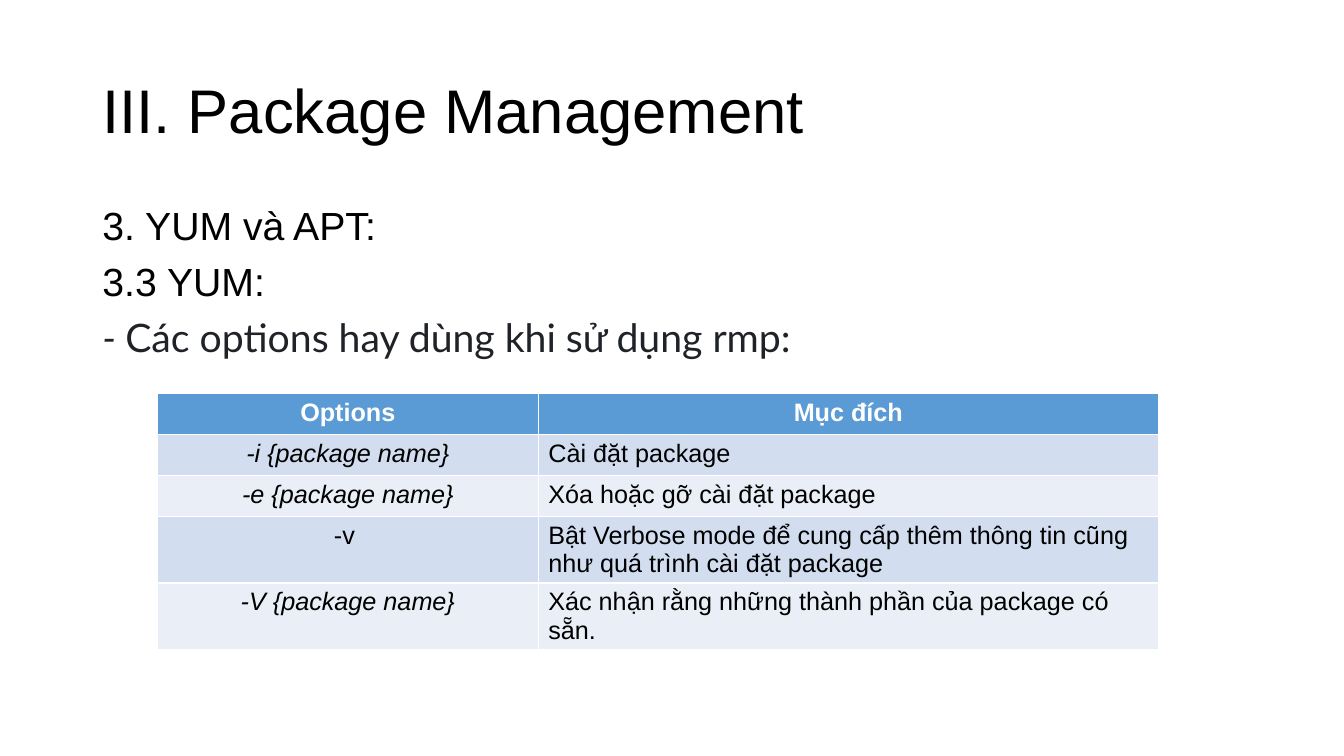
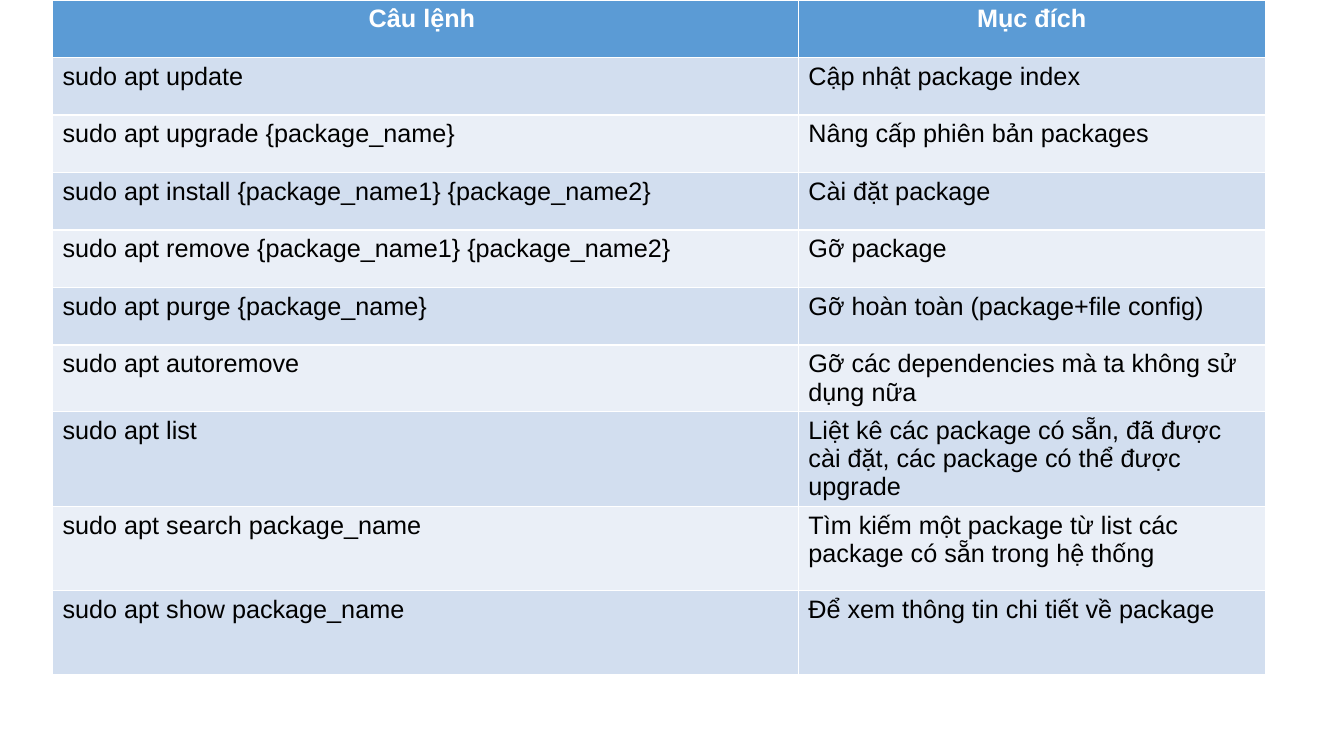
from lxml import etree
from pptx import Presentation
from pptx.dml.color import RGBColor
from pptx.enum.text import MSO_ANCHOR, MSO_AUTO_SIZE, PP_ALIGN
from pptx.oxml.ns import qn
from pptx.util import Pt

LEFT, CENTER = PP_ALIGN.LEFT, PP_ALIGN.CENTER
MIDDLE, TOP = MSO_ANCHOR.MIDDLE, MSO_ANCHOR.TOP
NO_AUTOFIT = MSO_AUTO_SIZE.NONE

SLIDE_SIZE = (960, 540)
TITLE_BOX = (66, 28.75, 828, 104.4)
BODY_BOX = (66, 143.75, 828, 342.6)
BLACK, WHITE, INK = "000000", "FFFFFF", "1F2328"
HEADER_FILL = "5B9BD5"
BAND_FILLS = ("D2DEEF", "EAEFF7")

TITLE = "III. Package Management"
# Each line is a list of (text, format) runs
BODY_LINES = [
    [("3. YUM và APT:", {})],
    [("3.3 YUM:", {})],
    [("- ", {"font": "Lato", "color": INK, "italic": True}),
     ("Các options hay dùng khi sử dụng rmp:", {"font": "Lato", "color": INK})],
]

OPTIONS_TABLE = {
    "origin": (112.5, 281.3),
    "widths": (272, 443),
    "heights": [29.2] * 5,
    "first_column_align": CENTER,
    "header": ("Options", "Mục đích"),
    "rows": [
        ("-i {package name}", "Cài đặt package"),
        ("-e {package name}", "Xóa hoặc gỡ cài đặt package"),
        ("-v ", "Bật Verbose mode để cung cấp thêm thông tin cũng như quá trình cài đặt package"),
        ("-V {package name}", "Xác nhận rằng những thành phần của package có sẵn."),
    ],
    "italic_mark": "{package name}",
}
COMMANDS_TABLE = {
    "origin": (37.5, 0),
    "widths": (532.8, 333.4),
    "heights": [41.1] * 6 + [45.4, 65, 60, 60],
    "first_column_align": LEFT,
    "header": ("Câu lệnh ", "Mục đích"),
    "rows": [
        ("sudo apt update", "Cập nhật package index"),
        ("sudo apt upgrade {package_name}", "Nâng cấp phiên bản packages"),
        ("sudo apt install {package_name1} {package_name2}", "Cài đặt package"),
        ("sudo apt remove {package_name1} {package_name2}", "Gỡ package"),
        ("sudo apt purge {package_name}", "Gỡ hoàn toàn (package+file config)"),
        ("sudo apt autoremove", "Gỡ các dependencies mà ta không sử dụng nữa"),
        ("sudo apt list",
         "Liệt kê các package có sẵn, đã được cài đặt, các package có thể được upgrade"),
        ("sudo apt search package_name",
         "Tìm kiếm một package từ list các package có sẵn trong hệ thống"),
        ("sudo apt show package_name", "Để xem thông tin chi tiết về package"),
    ],
    "italic_mark": None,
}


def rgb(hex_color):
    return RGBColor.from_string(hex_color)


def add_text(paragraph, text, size=18, font="Arial", color=BLACK,
             bold=False, italic=False, align=LEFT):
    paragraph.alignment = align
    run = paragraph.add_run()
    run.text = text
    run.font.size = Pt(size)
    run.font.name = font
    run.font.color.rgb = rgb(color)
    run.font.bold = bold
    run.font.italic = italic


def place(placeholder, box, anchor):
    """Move a placeholder and return its text frame, ready for text."""
    placeholder.left, placeholder.top, placeholder.width, placeholder.height = map(Pt, box)
    frame = placeholder.text_frame
    frame.auto_size = NO_AUTOFIT
    frame.word_wrap = True
    frame.vertical_anchor = anchor
    return frame


def remove_bullet(paragraph):
    properties = paragraph._p.get_or_add_pPr()
    properties.set("marL", "0")
    properties.set("indent", "0")
    etree.SubElement(properties, qn("a:buNone"))


def fill_title(slide):
    paragraph = place(slide.shapes.title, TITLE_BOX, MIDDLE).paragraphs[0]
    paragraph.line_spacing = 0.9
    add_text(paragraph, TITLE, size=44)


def fill_body(slide):
    frame = place(slide.placeholders[1], BODY_BOX, TOP)
    for number, line in enumerate(BODY_LINES):
        paragraph = frame.add_paragraph() if number else frame.paragraphs[0]
        paragraph.line_spacing = 0.9
        paragraph.space_before = Pt(10)
        remove_bullet(paragraph)
        for text, style in line:
            add_text(paragraph, text, size=28, **style)


def fill_cell(cell, text, fill, **style):
    cell.fill.solid()
    cell.fill.fore_color.rgb = rgb(fill)
    add_text(cell.text_frame.paragraphs[0], text, **style)


def add_banded_table(slide, content):
    widths, heights = content["widths"], content["heights"]
    table = slide.shapes.add_table(
        len(heights), len(widths), *map(Pt, content["origin"]),
        Pt(sum(widths)), Pt(sum(heights))).table
    for column, width in zip(table.columns, widths):
        column.width = Pt(width)
    for row, height in zip(table.rows, heights):
        row.height = Pt(height)

    for column, heading in enumerate(content["header"]):
        fill_cell(table.cell(0, column), heading, HEADER_FILL,
                  color=WHITE, bold=True, align=CENTER)
    mark = content["italic_mark"]
    for number, (term, purpose) in enumerate(content["rows"], start=1):
        band = BAND_FILLS[(number - 1) % 2]
        fill_cell(table.cell(number, 0), term, band,
                  italic=bool(mark and mark in term),
                  align=content["first_column_align"])
        fill_cell(table.cell(number, 1), purpose, band)


def main():
    deck = Presentation()
    deck.slide_width, deck.slide_height = map(Pt, SLIDE_SIZE)
    content_layout, blank_layout = deck.slide_layouts[1], deck.slide_layouts[6]

    options_slide = deck.slides.add_slide(content_layout)
    fill_title(options_slide)
    fill_body(options_slide)
    add_banded_table(options_slide, OPTIONS_TABLE)

    commands_slide = deck.slides.add_slide(blank_layout)
    add_banded_table(commands_slide, COMMANDS_TABLE)

    deck.save("out.pptx")


if __name__ == "__main__":
    main()
